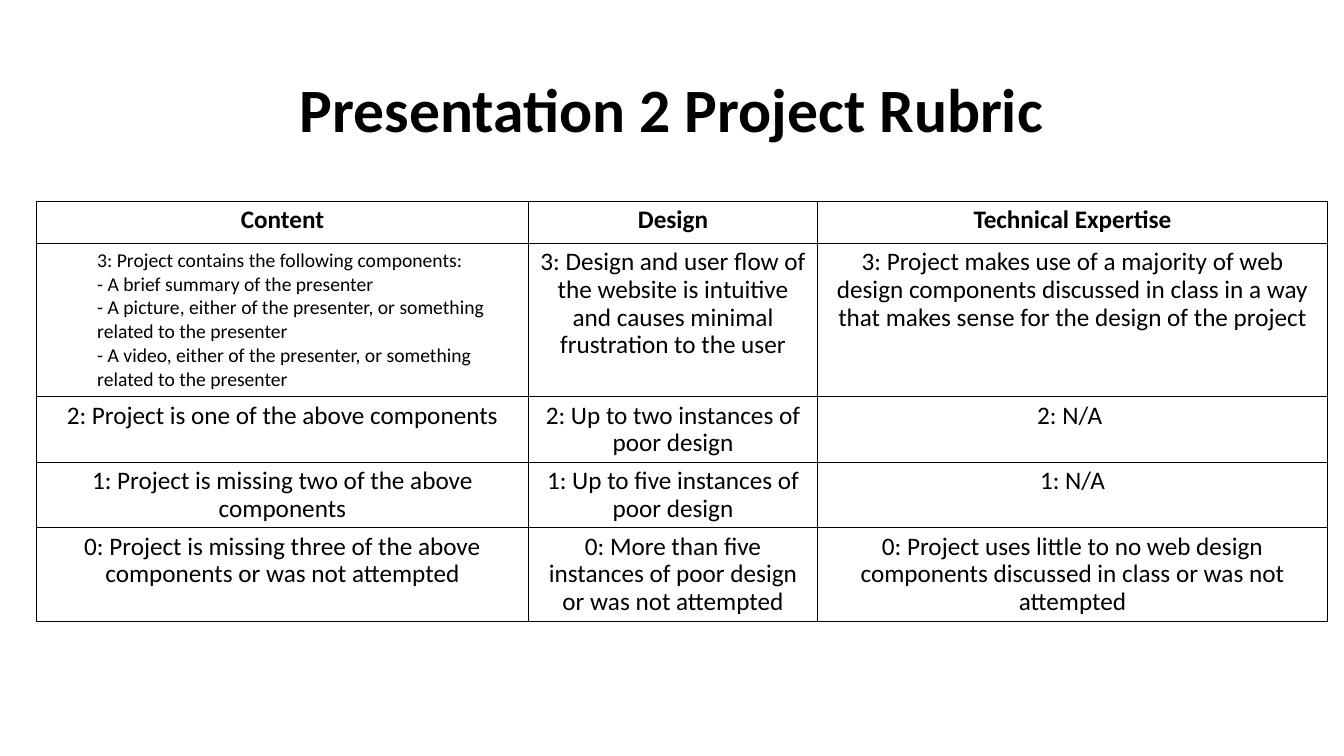
"""Build the project rubric slide: a title above a bordered scoring table."""
from lxml import etree
from pptx import Presentation
from pptx.dml.color import RGBColor
from pptx.enum.text import MSO_ANCHOR, PP_ALIGN
from pptx.oxml.ns import qn
from pptx.util import Pt

PX = 9525
CENTER = PP_ALIGN.CENTER
LEFT = PP_ALIGN.LEFT
MIDDLE = MSO_ANCHOR.MIDDLE
FONT = "Calibri"
BLACK = "000000"
WHITE = "FFFFFF"
INDENT = 48

COLUMN_WIDTHS = [468, 276, 485]
ROW_HEIGHTS = [40, 146, 62, 62, 89]
COMPONENTS = [
    "3: Project contains the following components:",
    "- A brief summary of the presenter",
    "- A picture, either of the presenter, or something related to the presenter",
    "- A video, either of the presenter, or something related to the presenter",
]
RUBRIC = [
    ["Content", "Design", "Technical Expertise"],
    [
        COMPONENTS,
        "3: Design and user flow of the website is intuitive and causes minimal "
        "frustration to the user",
        "3: Project makes use of a majority of web design components discussed in "
        "class in a way that makes sense for the design of the project",
    ],
    [
        "2: Project is one of the above components",
        "2: Up to two instances of poor design",
        "2: N/A ",
    ],
    [
        "1: Project is missing two of the above components",
        "1: Up to five instances of poor design",
        "1: N/A",
    ],
    [
        "0: Project is missing three of the above components or was not attempted",
        "0: More than five instances of poor design or was not attempted",
        "0: Project uses little to no web design components discussed in class "
        "or was not attempted",
    ],
]


def px(length):
    """Turn pixels into EMU."""
    return length * PX


def color(value):
    """Turn a hex string into a colour."""
    return RGBColor.from_string(value)


def style_paragraph(paragraph, size, bold=False, align=CENTER, spacing=0.9):
    """Set the font, alignment and line spacing of a paragraph."""
    paragraph.alignment = align
    paragraph.line_spacing = spacing
    paragraph.font.name = FONT
    paragraph.font.size = Pt(size)
    paragraph.font.bold = bold
    paragraph.font.color.rgb = color(BLACK)


def add_borders(cell):
    """Draw a one-point line on all four sides of a cell."""
    properties = cell._tc.get_or_add_tcPr()
    for side in ("lnL", "lnR", "lnT", "lnB"):
        line = etree.SubElement(properties, qn(f"a:{side}"), w=str(Pt(1)))
        fill = etree.SubElement(line, qn("a:solidFill"))
        etree.SubElement(fill, qn("a:srgbClr"), val=BLACK)


def fill_list(cell, lines):
    """Write indented, left-aligned lines into a cell."""
    cell.text = "\n".join(lines)
    for paragraph in cell.text_frame.paragraphs:
        paragraph.level = 1
        properties = paragraph._p.get_or_add_pPr()
        properties.set("marL", str(px(INDENT)))
        properties.set("indent", "0")
        style_paragraph(paragraph, 14, align=LEFT, spacing=1.0)


def fill_cell(cell, content, bold):
    """Write a cell's content and give it borders and a white fill."""
    if isinstance(content, list):
        fill_list(cell, content)
    else:
        cell.text = content
        style_paragraph(cell.text_frame.paragraphs[0], 18, bold)
    add_borders(cell)
    cell.fill.solid()
    cell.fill.fore_color.rgb = color(WHITE)


def add_title(slide, text):
    """Place and format the title placeholder."""
    title = slide.shapes.title
    title.left, title.top = px(88), px(38)
    title.width, title.height = px(1104), px(139)
    title.text_frame.text = text
    title.text_frame.vertical_anchor = MIDDLE
    style_paragraph(title.text_frame.paragraphs[0], 44, bold=True)


def add_rubric(slide):
    """Add the scoring table."""
    frame = slide.shapes.add_table(
        len(RUBRIC), len(COLUMN_WIDTHS), px(35), px(192),
        px(sum(COLUMN_WIDTHS)), px(sum(ROW_HEIGHTS)),
    )
    table = frame.table
    table.horz_banding = False
    for column, width in zip(table.columns, COLUMN_WIDTHS):
        column.width = px(width)
    for index, (row, height) in enumerate(zip(table.rows, ROW_HEIGHTS)):
        row.height = px(height)
        for cell, content in zip(row.cells, RUBRIC[index]):
            fill_cell(cell, content, bold=index == 0)


def main():
    """Build and save the presentation."""
    presentation = Presentation()
    presentation.slide_width = px(1280)
    presentation.slide_height = px(720)
    slide = presentation.slides.add_slide(presentation.slide_layouts[5])
    add_title(slide, "Presentation 2 Project Rubric")
    add_rubric(slide)
    presentation.save("out.pptx")


if __name__ == "__main__":
    main()
